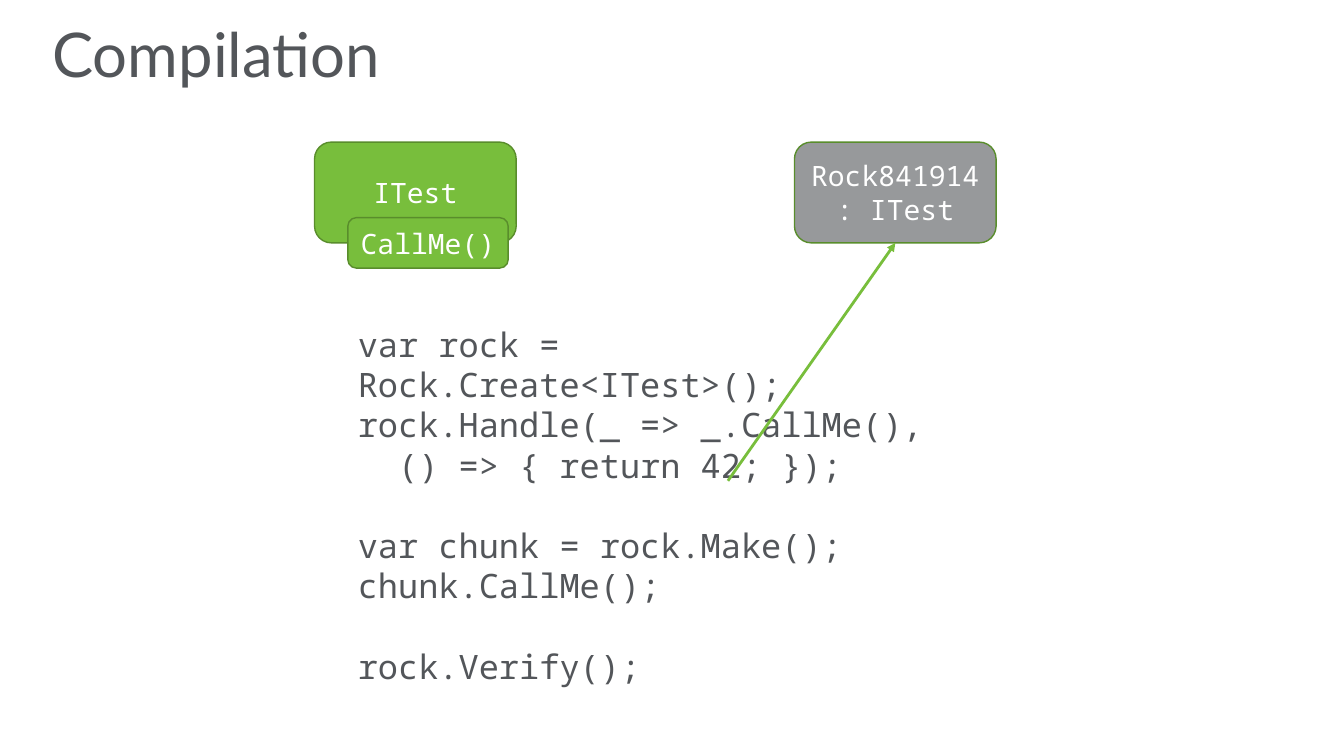
from dataclasses import dataclass

from lxml.etree import SubElement
from pptx import Presentation
from pptx.dml.color import RGBColor
from pptx.enum.shapes import MSO_CONNECTOR, MSO_SHAPE
from pptx.enum.text import MSO_ANCHOR, MSO_AUTO_SIZE, PP_ALIGN
from pptx.oxml.ns import qn
from pptx.util import Inches, Pt


@dataclass(frozen=True)
class Theme:
    """Colours, fonts and type sizes of the slide."""
    ink: RGBColor = RGBColor(0x53, 0x56, 0x5A)
    green: RGBColor = RGBColor(0x78, 0xBE, 0x3C)
    dark_green: RGBColor = RGBColor(0x59, 0x8D, 0x2C)
    gray: RGBColor = RGBColor(0x97, 0x99, 0x9B)
    white: RGBColor = RGBColor(0xFF, 0xFF, 0xFF)
    heading_font: str = "Lato"
    code_font: str = "Noto Sans Mono"
    title_size: int = 44
    label_size: int = 20
    code_size: int = 24


THEME = Theme()
CODE_GROUPS = (
    (("var rock = Rock.Create<ITest>();", 0),
     ("rock.Handle(_ => _.CallMe(),", 0),
     ("() => { return 42; });", 0.4)),
    (("var chunk = rock.Make();", 0),
     ("chunk.CallMe();", 0)),
    (("rock.Verify();", 0),),
)


def style(paragraph, font_name, size, color):
    """Format every run of a paragraph."""
    for run in paragraph.runs:
        run.font.name = font_name
        run.font.size = Pt(size)
        run.font.color.rgb = color


def add_title(slide, left, top, width, height):
    """Fill and place the title placeholder."""
    title = slide.shapes.title
    title.left, title.top = Inches(left), Inches(top)
    title.width, title.height = Inches(width), Inches(height)
    frame = title.text_frame
    frame.text = "Compilation"
    frame.auto_size = MSO_AUTO_SIZE.NONE
    frame.vertical_anchor = MSO_ANCHOR.MIDDLE
    heading = frame.paragraphs[0]
    heading.alignment = PP_ALIGN.LEFT
    heading.line_spacing = 0.9
    style(heading, THEME.heading_font, THEME.title_size, THEME.ink)


def add_type_box(slide, label, fill, left, top, width=2, height=1):
    """Draw a rounded box with a centred code label."""
    box = slide.shapes.add_shape(MSO_SHAPE.ROUNDED_RECTANGLE, Inches(left),
                                 Inches(top), Inches(width), Inches(height))
    box.shadow.inherit = False
    box.fill.solid()
    box.fill.fore_color.rgb = fill
    box.line.color.rgb = THEME.dark_green
    box.line.width = Pt(1)
    frame = box.text_frame
    frame.text = label
    frame.vertical_anchor = MSO_ANCHOR.MIDDLE
    for paragraph in frame.paragraphs:
        paragraph.alignment = PP_ALIGN.CENTER
        style(paragraph, THEME.code_font, THEME.label_size, THEME.white)
    return box


def add_interface(slide, left, top):
    """Draw the interface with its method overlapping the lower edge."""
    add_type_box(slide, "ITest", THEME.green, left, top)
    add_type_box(slide, "CallMe()", THEME.green,
                 left + 0.33, top + 0.75, 1.59, 0.5)


def add_code(slide, left, top, width, height):
    """Write the code groups, separated by one line of space."""
    code = slide.shapes.add_textbox(Inches(left), Inches(top),
                                    Inches(width), Inches(height))
    frame = code.text_frame
    frame.word_wrap = True
    frame.auto_size = MSO_AUTO_SIZE.SHAPE_TO_FIT_TEXT
    frame.text = "\n".join(text for group in CODE_GROUPS for text, _ in group)
    paragraphs = iter(frame.paragraphs)
    for group_index, group in enumerate(CODE_GROUPS):
        for line_index, (_, indent) in enumerate(group):
            paragraph = next(paragraphs)
            style(paragraph, THEME.code_font, THEME.code_size, THEME.ink)
            if group_index and not line_index:
                paragraph.space_before = Pt(THEME.code_size * 1.2)
            if indent:
                paragraph._p.get_or_add_pPr().set("marL", str(Inches(indent)))


def add_arrow(slide, left, top, target):
    """Draw an arrow from a point to the bottom of the target box."""
    arrow = slide.shapes.add_connector(
        MSO_CONNECTOR.STRAIGHT, Inches(left), Inches(top),
        target.left + target.width // 2, target.top + target.height)
    arrow.end_connect(target, 2)
    arrow.line.color.rgb = THEME.green
    arrow.line.width = Pt(2)
    SubElement(arrow.line._get_or_add_ln(), qn("a:tailEnd"), type="triangle")
    SubElement(arrow._element.spPr, qn("a:effectLst"))


def build_compilation_slide(deck):
    """Assemble the slide on the title-only layout."""
    slide = deck.slides.add_slide(deck.slide_layouts[5])
    add_title(slide, 0.42, 0.28, 12.49, 0.59)
    add_interface(slide, 3.12, 1.41)
    add_code(slide, 3.45, 3.16, 6.29, 3.33)
    generated_type = add_type_box(slide, "Rock841914\n: ITest", THEME.gray,
                                  7.88, 1.41)
    add_arrow(slide, 7.22, 4.77, generated_type)


def main():
    """Create and save the deck."""
    deck = Presentation()
    deck.slide_width, deck.slide_height = Inches(13.33), Inches(7.5)
    build_compilation_slide(deck)
    deck.save("out.pptx")


if __name__ == "__main__":
    main()
